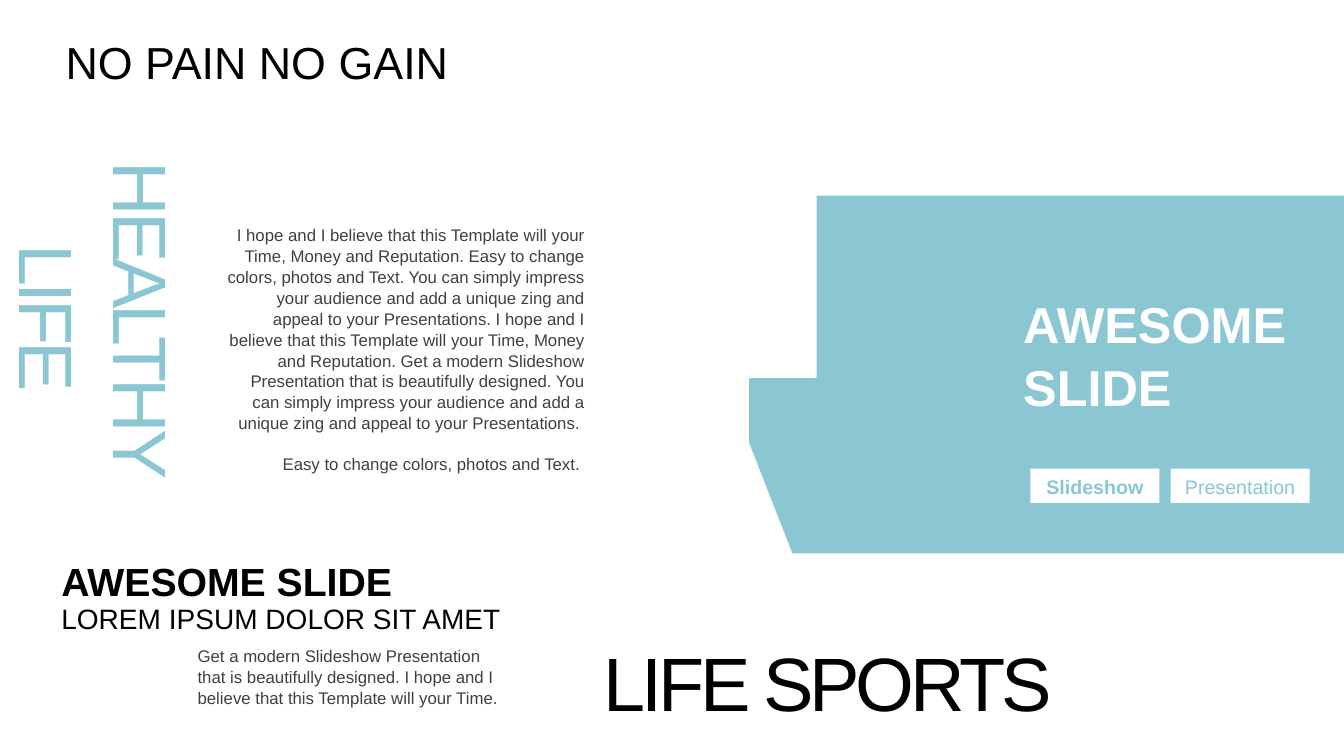
from pptx import Presentation
from pptx import util as u
from pptx.dml.color import RGBColor
from pptx.enum import shapes, text

TEAL = RGBColor(0x8A, 0xC7, 0xD3)
WHITE = RGBColor(0xFF, 0xFF, 0xFF)
BLACK = RGBColor(0, 0, 0)
GRAY = RGBColor(0x40, 0x40, 0x40)
LEFT, CENTER, RIGHT, JUSTIFY = (
    text.PP_ALIGN.LEFT, text.PP_ALIGN.CENTER, text.PP_ALIGN.RIGHT, text.PP_ALIGN.JUSTIFY)
TOP, MIDDLE = text.MSO_ANCHOR.TOP, text.MSO_ANCHOR.MIDDLE

STORY = [
    "I hope and I believe that this Template will your Time, Money and Reputation. "
    "Easy to change colors, photos and Text. You can simply impress your audience and "
    "add a unique zing and appeal to your Presentations. I hope and I believe that this "
    "Template will your Time, Money and Reputation. Get a modern Slideshow Presentation "
    "that is beautifully designed. You can simply impress your audience and add a unique "
    "zing and appeal to your Presentations. ",
    "Easy to change colors, photos and Text. ",
]
SUMMARY = ("Get a modern Slideshow Presentation that is beautifully designed. "
           "I hope and I believe that this Template will your Time.")


def write(sp, lines, size, color, bold=False, align=LEFT, anchor=MIDDLE,
          spacing=0, gap=0, inset=0.1):
    """Fill a shape with one formatted paragraph per line."""
    tf = sp.text_frame
    tf.word_wrap = True
    tf.auto_size = text.MSO_AUTO_SIZE.NONE
    tf.vertical_anchor = anchor
    tf.margin_left = u.Inches(inset)
    for i, line in enumerate(lines):
        p = tf.paragraphs[0] if i == 0 else tf.add_paragraph()
        p.alignment = align
        p.line_spacing = 1.04
        p.space_before = u.Pt(gap if i else 0)
        r = p.add_run()
        r.text = line
        r.font.name = "Arial"
        r.font.size = u.Pt(size)
        r.font.bold = bold
        r.font.color.rgb = color
        if spacing:
            r.font._element.set("spc", str(spacing * 100))


def add_text(slide, box, lines, size, color, **fmt):
    """Add a text box at the given left, top, width and height."""
    sp = slide.shapes.add_textbox(*map(u.Inches, box))
    write(sp, lines, size, color, **fmt)
    return sp


def paint(sp, color):
    """Give a shape a plain fill with no line or shadow."""
    sp.shadow.inherit = False
    sp.fill.solid()
    sp.fill.fore_color.rgb = color
    sp.line.fill.background()


def add_title(slide, box, title):
    """Place the title placeholder."""
    sp = slide.shapes.title
    sp.left, sp.top, sp.width, sp.height = map(u.Inches, box)
    write(sp, [title], 32, BLACK, align=JUSTIFY)


def add_panel(slide, box):
    """Draw the teal panel with its heading and two labels."""
    x, y, w, h = box
    outline = [(0.67, 0), (w, 0), (w, h), (0.43, h), (0, 2.45), (0, 1.81), (0.67, 1.81)]
    points = [(u.Inches(x + dx), u.Inches(y + dy)) for dx, dy in outline]
    builder = slide.shapes.build_freeform(*points[0])
    builder.add_line_segments(points[1:], close=True)
    paint(builder.convert_to_shape(), TEAL)
    add_text(slide, (x + 2.62, y + 0.91, 2.95, 1.31), ["AWESOME", "SLIDE"], 36, WHITE, bold=True)
    for label, dx, width, bold in (("Slideshow", 2.79, 1.28, True),
                                   ("Presentation", 4.18, 1.38, False)):
        sp = slide.shapes.add_shape(
            shapes.MSO_SHAPE.RECTANGLE, *map(u.Inches, (x + dx, y + 2.71, width, 0.34)))
        paint(sp, WHITE)
        write(sp, [label], 14, TEAL, bold=bold, align=CENTER, anchor=TOP)


def add_story(slide, box):
    """Add the vertical heading and the right-aligned story beside it."""
    x, y, w, h = box
    heading = add_text(slide, (x - 1.47, y + 0.48, 4.9, 1.01), ["HEALTHY LIFE"],
                       54, TEAL, align=CENTER, spacing=-3)
    heading.rotation = 90
    add_text(slide, (x + 2.15, y, w - 2.15, h), STORY, 12, GRAY,
             align=RIGHT, anchor=TOP, gap=14.4)


def add_summary(slide, box):
    """Stack the lower heading, subheading and summary."""
    x, y, w, h = box
    add_text(slide, (x, y + 0.44, w + 0.2, 0.44), ["LOREM IPSUM DOLOR SIT AMET"], 20, BLACK,
             align=JUSTIFY)
    add_text(slide, (x, y, w, 0.57), ["AWESOME SLIDE"], 28, BLACK, bold=True, align=JUSTIFY)
    add_text(slide, (x + 1.45, y + 0.88, w - 1.46, h - 0.88), [SUMMARY], 12, GRAY,
             anchor=TOP, inset=0)


def main():
    """Build and save the slide."""
    prs = Presentation()
    prs.slide_width, prs.slide_height = u.Inches(13.33), u.Inches(7.5)
    slide = prs.slides.add_slide(prs.slide_layouts[5])
    add_panel(slide, (7.43, 1.94, 5.9, 3.55))
    add_story(slide, (0, 2.17, 5.9, 2.52))
    add_summary(slide, (0.51, 5.47, 4.55, 1.59))
    add_text(slide, (5.89, 6.24, 4.78, 1.01), ["LIFE SPORTS"], 54, BLACK, spacing=-3)
    add_title(slide, (0.55, 0.28, 6.11, 0.64), "NO PAIN NO GAIN")
    prs.save("out.pptx")


if __name__ == "__main__":
    main()
